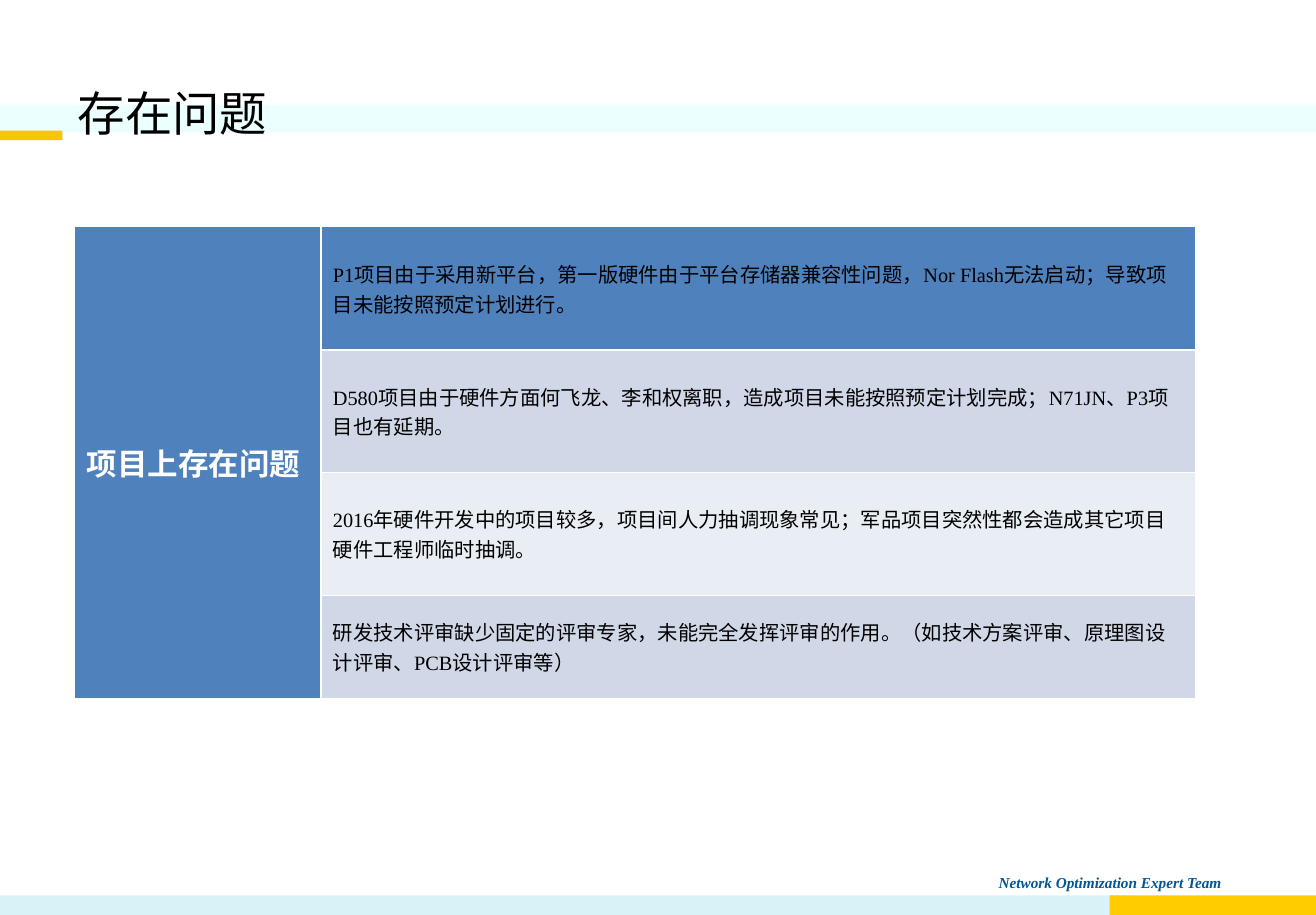
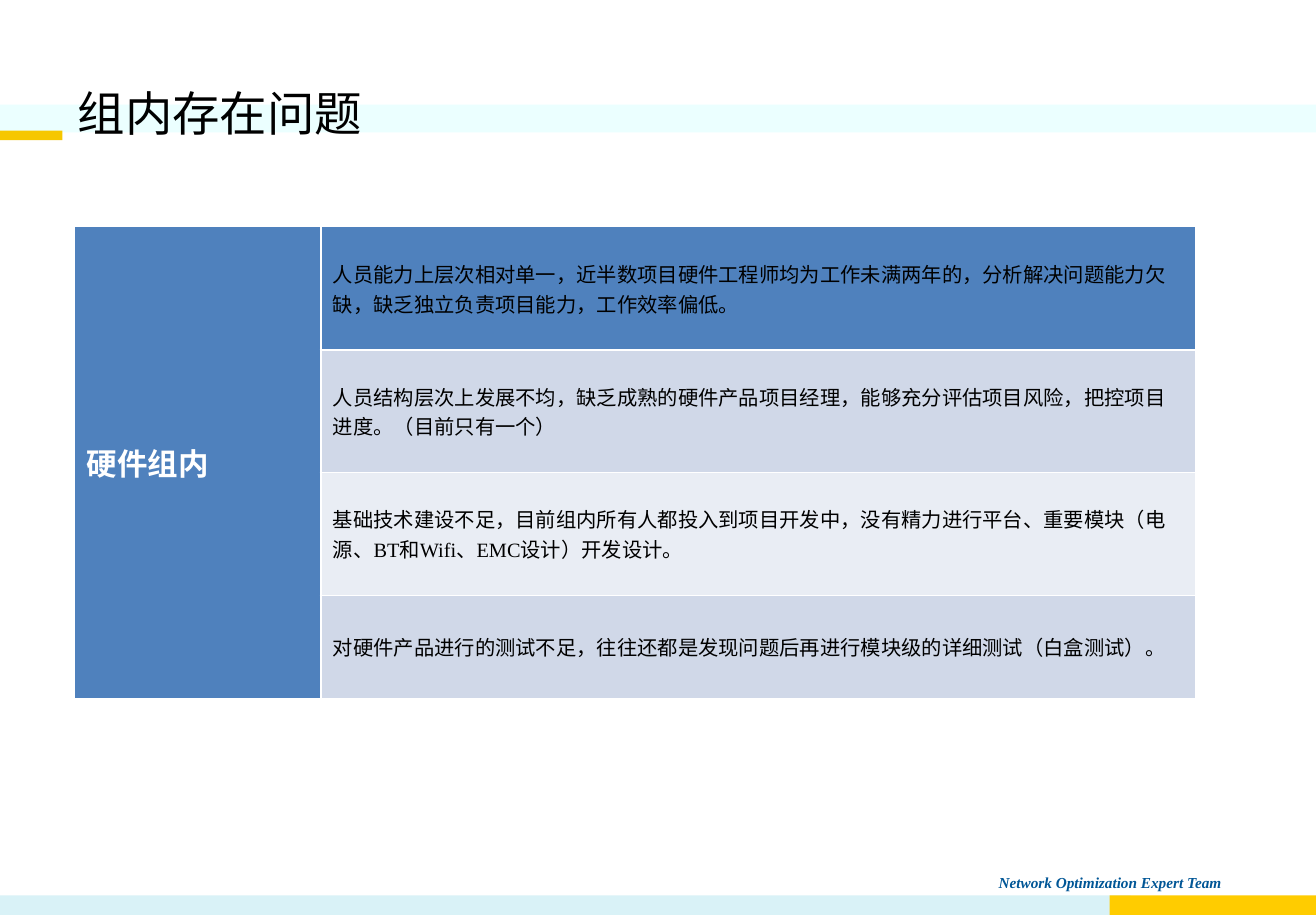
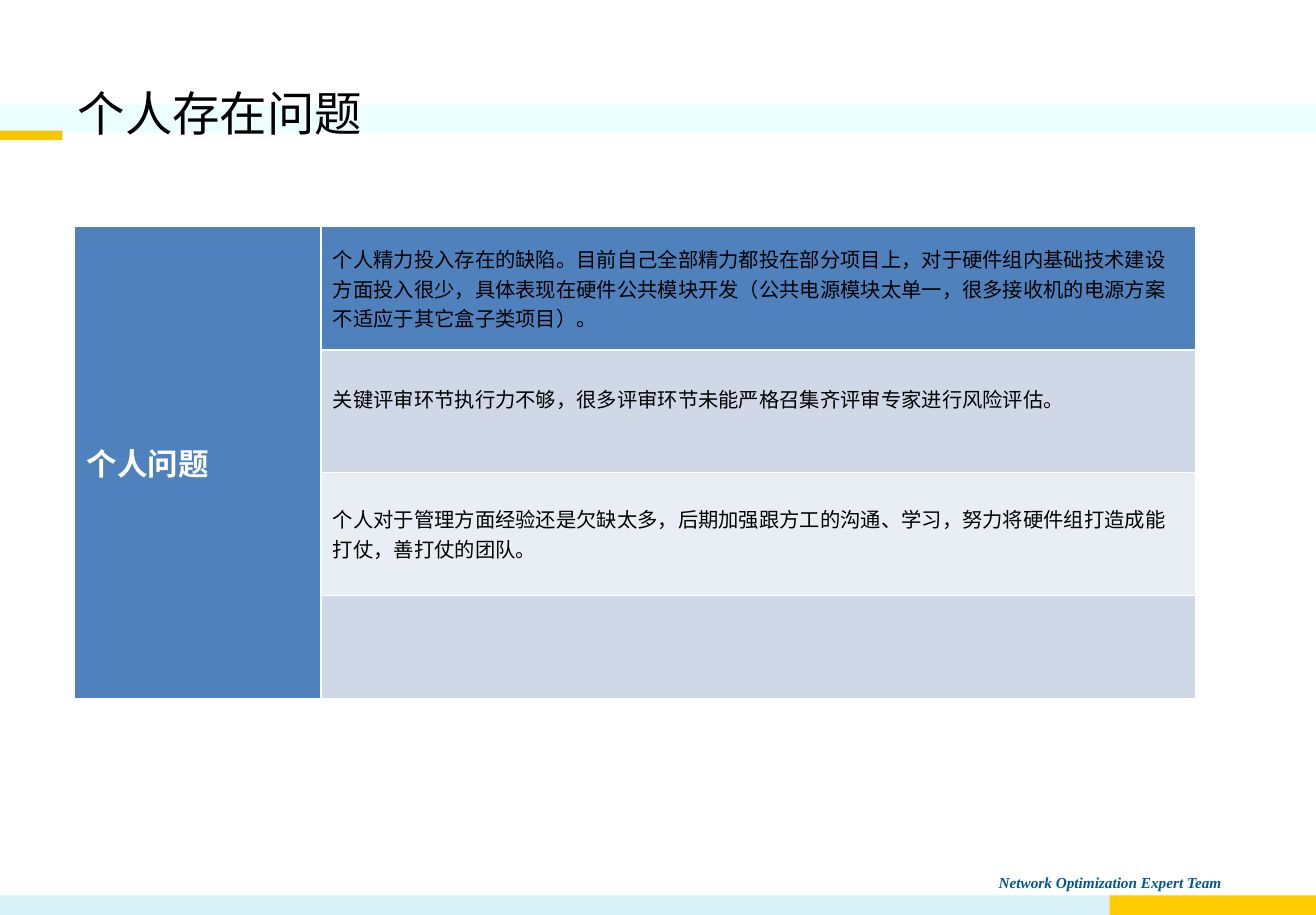
from pptx import Presentation
from pptx.dml.color import RGBColor
from pptx.enum.shapes import MSO_SHAPE
from pptx.enum.text import MSO_ANCHOR
from pptx.oxml.ns import qn
from pptx.util import Cm, Pt
from lxml import etree

RECTANGLE = MSO_SHAPE.RECTANGLE
MIDDLE = MSO_ANCHOR.MIDDLE
TOP = MSO_ANCHOR.TOP

BLACK = RGBColor(0x00, 0x00, 0x00)
WHITE = RGBColor(0xFF, 0xFF, 0xFF)
NAVY = RGBColor(0x00, 0x56, 0x96)
BLUE = RGBColor(0x4F, 0x81, 0xBD)
PALE_BLUE = RGBColor(0xD0, 0xD8, 0xE8)
MIST = RGBColor(0xE9, 0xED, 0xF4)
ICE = RGBColor(0xEB, 0xFF, 0xFF)
AQUA = RGBColor(0xD9, 0xF2, 0xF7)
YELLOW = RGBColor(0xFF, 0xCC, 0x00)
GOLD = RGBColor(0xF6, 0xC7, 0x00)

SERIF = "Times New Roman"
SANS = "Calibri"
FOOTER = "Network Optimization Expert Team"
WIDTH, HEIGHT = 27.41, 19.05
BANDS = [
    (0, 2.18, WIDTH, 0.58, ICE),
    (0, 18.64, 23.55, 0.41, AQUA),
    (23.11, 18.64, 4.3, 0.41, YELLOW),
    (0, 2.72, 1.3, 0.2, GOLD),
]
COLUMN_WIDTHS = [5.13, 18.21]
ROW_HEIGHTS = [2.57, 2.54, 2.57, 2.13]
ROW_FILLS = [BLUE, PALE_BLUE, MIST, PALE_BLUE]
THIN, THICK = Pt(0.45), Pt(1.47)
RAISED_MARGIN = 0.63

PAGES = [
    ("存在问题", "项目上存在问题", [
        "P1项目由于采用新平台，第一版硬件由于平台存储器兼容性问题，Nor Flash无法启动；导致项目未能按照预定计划进行。",
        "D580项目由于硬件方面何飞龙、李和权离职，造成项目未能按照预定计划完成；N71JN、P3项目也有延期。",
        "2016年硬件开发中的项目较多，项目间人力抽调现象常见；军品项目突然性都会造成其它项目硬件工程师临时抽调。",
        "研发技术评审缺少固定的评审专家，未能完全发挥评审的作用。（如技术方案评审、原理图设计评审、PCB设计评审等）",
    ], None),
    ("组内存在问题", "硬件组内", [
        "人员能力上层次相对单一，近半数项目硬件工程师均为工作未满两年的，分析解决问题能力欠缺，缺乏独立负责项目能力，工作效率偏低。",
        "人员结构层次上发展不均，缺乏成熟的硬件产品项目经理，能够充分评估项目风险，把控项目进度。（目前只有一个）",
        "基础技术建设不足，目前组内所有人都投入到项目开发中，没有精力进行平台、重要模块（电源、BT和Wifi、EMC设计）开发设计。",
        "对硬件产品进行的测试不足，往往还都是发现问题后再进行模块级的详细测试（白盒测试）。",
    ], None),
    ("个人存在问题", "个人问题", [
        "个人精力投入存在的缺陷。目前自己全部精力都投在部分项目上，对于硬件组内基础技术建设方面投入很少，具体表现在硬件公共模块开发（公共电源模块太单一，很多接收机的电源方案不适应于其它盒子类项目）。",
        "关键评审环节执行力不够，很多评审环节未能严格召集齐评审专家进行风险评估。",
        "个人对于管理方面经验还是欠缺太多，后期加强跟方工的沟通、学习，努力将硬件组打造成能打仗，善打仗的团队。",
    ], 1),
]


def add_span(frame, text, size, color, font=SERIF, bold=False, italic=False):
    span = frame.paragraphs[0].add_run()
    span.text = text
    span.font.name = font
    span.font.size = Pt(size)
    span.font.color.rgb = color
    span.font.bold = bold
    span.font.italic = italic


def add_band(page, left, top, width, height, color):
    band = page.shapes.add_shape(RECTANGLE, Cm(left), Cm(top), Cm(width), Cm(height))
    band.shadow.inherit = False
    band.fill.solid()
    band.fill.fore_color.rgb = color
    band.line.fill.background()


def add_text(page, left, top, width, height, anchor, text, size, color, **style):
    box = page.shapes.add_textbox(Cm(left), Cm(top), Cm(width), Cm(height))
    frame = box.text_frame
    frame.word_wrap = True
    frame.vertical_anchor = anchor
    add_span(frame, text, size, color, **style)


def set_border(cell, side, width):
    properties = cell._tc.get_or_add_tcPr()
    line = etree.SubElement(properties, qn("a:" + side), w=str(width))
    fill = etree.SubElement(line, qn("a:solidFill"))
    etree.SubElement(fill, qn("a:srgbClr"), val=str(WHITE))


def style_cell(cell, row, column):
    thick_sides = {
        "lnL": column == 1,
        "lnR": column == 0,
        "lnT": column == 1 and row == 1,
        "lnB": column == 1 and row == 0,
    }
    for side, thick in thick_sides.items():
        set_border(cell, side, THICK if thick else THIN)
    cell.fill.solid()
    cell.fill.fore_color.rgb = BLUE if column == 0 else ROW_FILLS[row]
    cell.vertical_anchor = MIDDLE


def add_problem_table(page, heading, problems, raised_row):
    table = page.shapes.add_table(
        len(ROW_HEIGHTS), len(COLUMN_WIDTHS), Cm(1.55), Cm(4.72),
        Cm(sum(COLUMN_WIDTHS)), Cm(sum(ROW_HEIGHTS))).table
    table.first_row = False
    table.horz_banding = False
    for column, width in enumerate(COLUMN_WIDTHS):
        table.columns[column].width = Cm(width)
    for row, height in enumerate(ROW_HEIGHTS):
        table.rows[row].height = Cm(height)
        for column in range(len(COLUMN_WIDTHS)):
            style_cell(table.cell(row, column), row, column)
    table.cell(0, 0).merge(table.cell(len(ROW_HEIGHTS) - 1, 0))
    add_span(table.cell(0, 0).text_frame, heading, 18, WHITE, font=SANS, bold=True)
    for row, problem in enumerate(problems):
        add_span(table.cell(row, 1).text_frame, problem, 12, BLACK)
    if raised_row is not None:
        table.cell(raised_row, 1).margin_bottom = Cm(RAISED_MARGIN)


def add_page(deck, title):
    page = deck.slides.add_slide(deck.slide_layouts[6])
    add_text(page, 20.55, 18.06, 7.29, 0.64, TOP, FOOTER, 9, NAVY, bold=True, italic=True)
    for band in BANDS:
        add_band(page, *band)
    add_text(page, 1.37, 0.76, 24.66, 3.18, MIDDLE, title, 28, BLACK)
    return page


def main():
    deck = Presentation()
    deck.slide_width = Cm(WIDTH)
    deck.slide_height = Cm(HEIGHT)
    for title, heading, problems, raised_row in PAGES:
        page = add_page(deck, title)
        add_problem_table(page, heading, problems, raised_row)
    deck.save("out.pptx")


if __name__ == "__main__":
    main()
